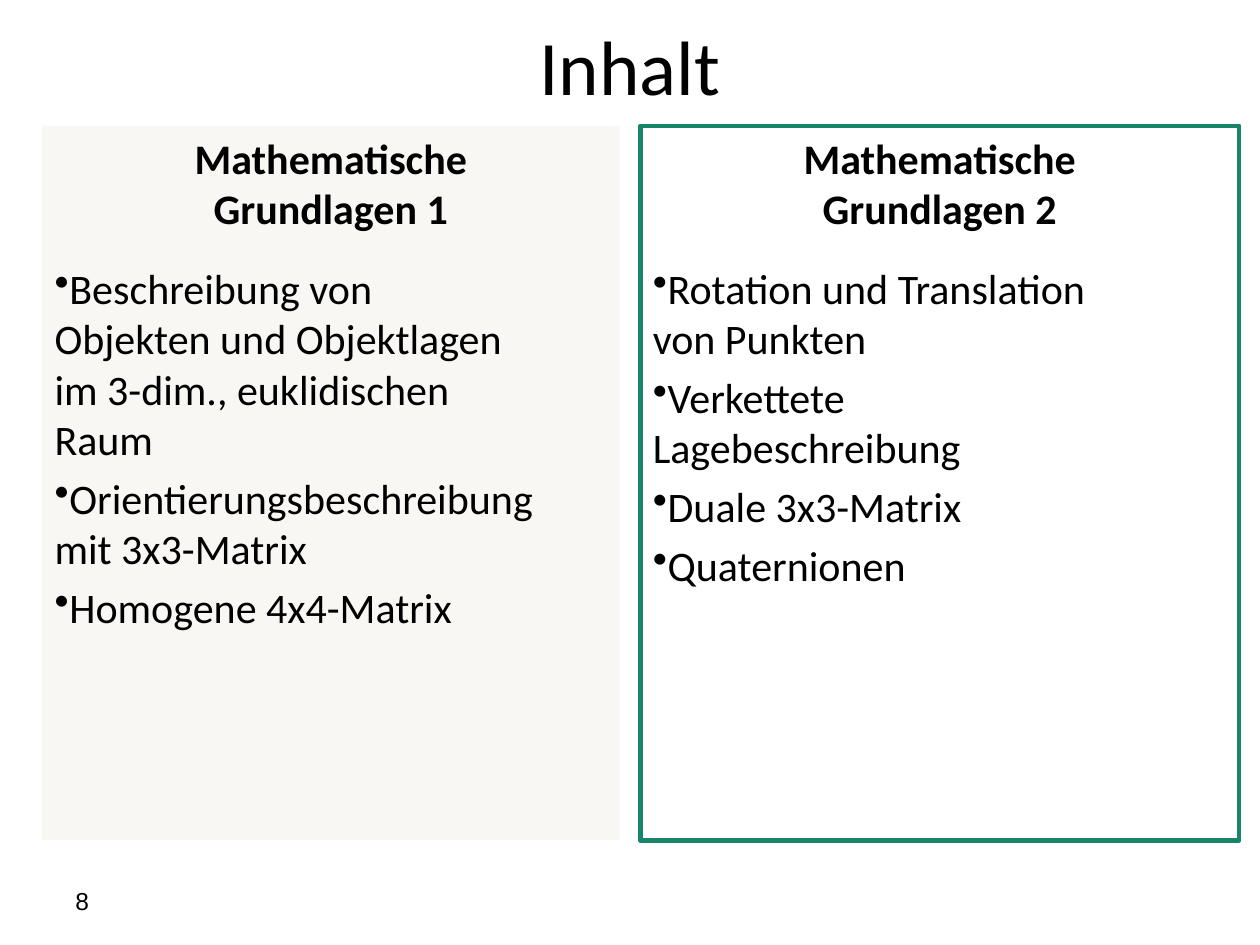
from lxml.etree import SubElement
from pptx import Presentation
from pptx.dml.color import RGBColor
from pptx.enum.shapes import MSO_SHAPE
from pptx.enum.text import MSO_ANCHOR, PP_ALIGN
from pptx.oxml.ns import qn
from pptx.util import Cm, Pt

COLORS = {"text": "000000", "panel": "F8F7F3", "accent": "18856A"}

PART_1 = ("Mathematische\nGrundlagen 1", [
    "Beschreibung von\nObjekten und Objektlagen\nim 3-dim., euklidischen\nRaum",
    "Orientierungsbeschreibung\nmit 3x3-Matrix",
    "Homogene 4x4-Matrix",
])
PART_2 = ("Mathematische\nGrundlagen 2", [
    "Rotation und Translation\nvon Punkten",
    "Verkettete\nLagebeschreibung",
    "Duale 3x3-Matrix",
    "Quaternionen",
])


def rgb(name):
    """Return the named colour."""
    return RGBColor.from_string(COLORS[name])


def write(p, text, size, font="Calibri", align=PP_ALIGN.LEFT, bold=False):
    """Fill a paragraph with text in one style."""
    p.text = text
    p.alignment = align
    p.font.name = font
    p.font.size = Pt(size)
    p.font.bold = bold
    p.font.color.rgb = rgb("text")


def add_label(s, box, text, size, font, align):
    """Add a single line of text, centred vertically in its box."""
    tf = s.shapes.add_textbox(*box).text_frame
    tf.word_wrap = True
    tf.vertical_anchor = MSO_ANCHOR.MIDDLE
    write(tf.paragraphs[0], text, size, font, align)


def add_part(s, box, heading, items, fill=None, line=None):
    """Add a panel with a centred heading and bulleted items."""
    sp = s.shapes.add_shape(MSO_SHAPE.RECTANGLE, *box)
    sp.shadow.inherit = False
    if fill:
        sp.fill.solid()
        sp.fill.fore_color.rgb = rgb(fill)
    else:
        sp.fill.background()
    if line:
        sp.line.color.rgb = rgb(line)
        sp.line.width = Pt(2.75)
    else:
        sp.line.fill.background()
    tf = sp.text_frame
    tf.word_wrap = True
    tf.vertical_anchor = MSO_ANCHOR.TOP
    p = tf.paragraphs[0]
    p.space_after = Pt(12)
    write(p, heading, 24, align=PP_ALIGN.CENTER, bold=True)
    for item in items:
        p = tf.add_paragraph()
        p.space_before = Pt(4.8)
        SubElement(p._p.get_or_add_pPr(), qn("a:buChar"), char="•")
        write(p, item, 24)


def main():
    """Build the contents slide."""
    prs = Presentation()
    prs.slide_width, prs.slide_height = Cm(25.4), Cm(19.05)
    s = prs.slides.add_slide(prs.slide_layouts[6])
    left, top, height = Cm(1.27), Cm(2.54), Cm(14.4)
    add_label(s, (left, Cm(-0.28), prs.slide_width - 2 * left, Cm(3.18)),
              "Inhalt", 44, "Calibri", PP_ALIGN.CENTER)
    add_part(s, (Cm(0.85), top, Cm(11.64), height), *PART_1, fill="panel")
    add_part(s, (Cm(12.91), top, Cm(12.07), height), *PART_2, line="accent")
    add_label(s, (left, Cm(17.65), Cm(5.92), Cm(1.02)),
              "8", 14, "Arial", PP_ALIGN.LEFT)
    prs.save("out.pptx")


if __name__ == "__main__":
    main()
